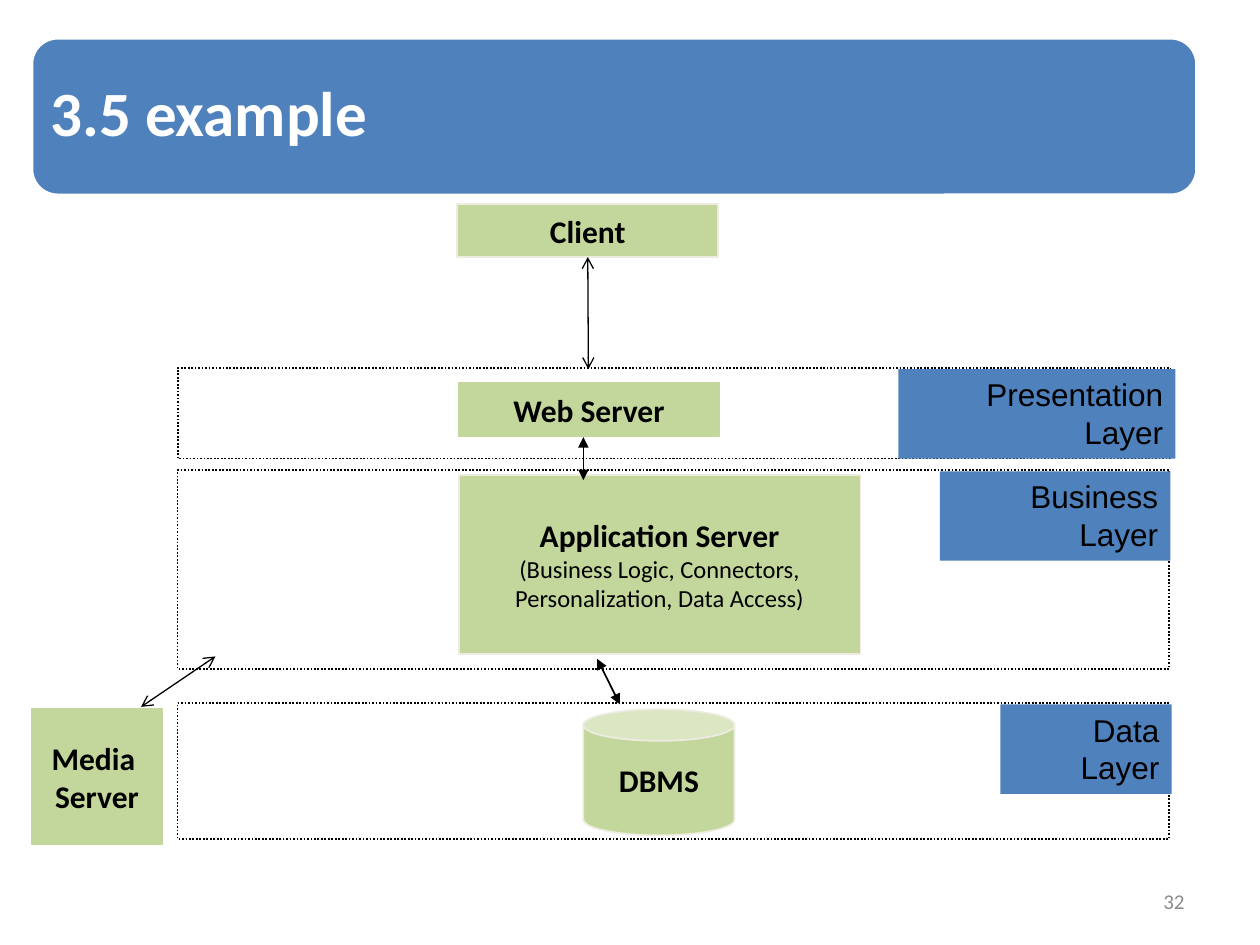
from pptx import Presentation
from pptx.dml.color import RGBColor
from pptx.enum.dml import MSO_LINE
from pptx.enum.shapes import MSO_CONNECTOR, MSO_SHAPE
from pptx.enum.text import MSO_ANCHOR, MSO_AUTO_SIZE, PP_ALIGN
from pptx.oxml.ns import qn
from pptx.util import Inches, Pt
from lxml import etree

RECT = MSO_SHAPE.RECTANGLE
ROUNDED = MSO_SHAPE.ROUNDED_RECTANGLE
CAN = MSO_SHAPE.CAN
STRAIGHT = MSO_CONNECTOR.STRAIGHT
DOTTED = MSO_LINE.ROUND_DOT
MIDDLE, TOP = MSO_ANCHOR.MIDDLE, MSO_ANCHOR.TOP
LEFT, CENTER, RIGHT = PP_ALIGN.LEFT, PP_ALIGN.CENTER, PP_ALIGN.RIGHT
GROW = MSO_AUTO_SIZE.SHAPE_TO_FIT_TEXT

WHITE = RGBColor(0xFF, 0xFF, 0xFF)
BLACK = RGBColor(0x00, 0x00, 0x00)
BLUE = RGBColor(0x4F, 0x81, 0xBD)
GREEN = RGBColor(0xC3, 0xD6, 0x9B)
CREAM = RGBColor(0xEE, 0xEC, 0xE1)
GRAY = RGBColor(0x8C, 0x8C, 0x8C)

BOTTOM_SIDE = 2
BANNER_BOX = (0.25, 0.3, 9.25, 1.25)


def style_text(paragraph, size, color, align, bold=False, font="Calibri"):
    paragraph.alignment = align
    for run in paragraph.runs:
        run.font.name = font
        run.font.size = Pt(size)
        run.font.bold = bold
        run.font.color.rgb = color


def add_box(slide, box, fill=None, line=None, width=1, kind=RECT):
    shape = slide.shapes.add_shape(kind, *map(Inches, box))
    shape.shadow.inherit = False
    if fill is None:
        shape.fill.background()
    else:
        shape.fill.solid()
        shape.fill.fore_color.rgb = fill
    if line is None:
        shape.line.fill.background()
    else:
        shape.line.color.rgb = line
        shape.line.width = Pt(width)
    return shape


def add_title(slide, text):
    banner = add_box(slide, BANNER_BOX, BLUE, WHITE, 2, ROUNDED)
    title = slide.shapes.title
    title.element.addprevious(banner.element)  # banner goes behind the title
    title.left, title.top, title.width, title.height = map(Inches, BANNER_BOX)
    frame = title.text_frame
    frame.text = text
    frame.vertical_anchor = MIDDLE
    frame.margin_left = frame.margin_right = Inches(0.15)
    frame.margin_top = frame.margin_bottom = Inches(0.15)
    frame.paragraphs[0].line_spacing = 0.9
    style_text(frame.paragraphs[0], 36, WHITE, LEFT, bold=True)


def add_node(slide, box, heading, details="", line=CREAM, kind=RECT):
    node = add_box(slide, box, GREEN, line, kind=kind)
    frame = node.text_frame
    frame.text = f"{heading}\n{details}" if details else heading
    frame.word_wrap = False
    frame.vertical_anchor = MIDDLE
    heading_count = len(heading.split("\n"))
    for index, paragraph in enumerate(frame.paragraphs):
        is_heading = index < heading_count
        style_text(paragraph, 18 if is_heading else 14, BLACK, CENTER, is_heading)
    return node


def add_layer(slide, band, label_box, label):
    outline = add_box(slide, band, line=BLACK)
    outline.line.dash_style = DOTTED
    tag = add_box(slide, label_box, BLUE)
    frame = tag.text_frame
    frame.text = label
    frame.word_wrap = True
    frame.auto_size = GROW
    frame.vertical_anchor = TOP
    style_text(frame.paragraphs[0], 18, BLACK, RIGHT, font="Arial")


def add_arrow(slide, start, end, width, head):
    arrow = slide.shapes.add_connector(STRAIGHT, *map(Inches, start + end))
    arrow.line.color.rgb = BLACK
    arrow.line.width = Pt(width)
    properties = arrow.element.spPr
    outline = properties.find(qn("a:ln"))
    for tag in ("a:headEnd", "a:tailEnd"):
        etree.SubElement(outline, qn(tag), type=head)
    etree.SubElement(properties, qn("a:effectLst"))
    return arrow


def add_page_number(slide, number):
    box = slide.shapes.add_textbox(*map(Inches, (7.17, 6.95, 2.33, 0.4)))
    frame = box.text_frame
    frame.text = number
    frame.word_wrap = True
    frame.vertical_anchor = MIDDLE
    style_text(frame.paragraphs[0], 12, GRAY, RIGHT)


def main():
    prs = Presentation()
    prs.slide_width, prs.slide_height = Inches(10), Inches(7.5)
    slide = prs.slides.add_slide(prs.slide_layouts[5])
    add_title(slide, "3.5 example")

    # Layer bands with their labels
    add_layer(slide, (1.41, 2.92, 7.88, 0.72), (7.13, 2.93, 2.2, 0.71),
              "Presentation Layer")
    add_layer(slide, (1.41, 3.73, 7.87, 1.58), (7.46, 3.74, 1.83, 0.71),
              "Business Layer")
    add_layer(slide, (1.41, 5.58, 7.87, 1.08), (7.94, 5.59, 1.36, 0.71),
              "Data Layer")

    # Servers and database
    client = add_node(slide, (3.63, 1.62, 2.07, 0.42), "Client")
    add_node(slide, (3.64, 3.04, 2.07, 0.42), "Web Server", line=GREEN)
    add_node(slide, (3.64, 3.77, 3.19, 1.42), "Application Server",
             "(Business Logic, Connectors,\nPersonalization, Data Access)")
    dbms = add_node(slide, (4.63, 5.63, 1.2, 1), "DBMS", kind=CAN)
    dbms.adjustments[0] = 0.25
    add_node(slide, (0.25, 5.63, 1.04, 1.07), "Media \nServer", line=GREEN)

    # Two-way links
    client_link = add_arrow(slide, (4.67, 2.04), (4.67, 2.93), 0.75, "arrow")
    client_link.begin_connect(client, BOTTOM_SIDE)
    add_arrow(slide, (4.63, 3.47), (4.63, 3.81), 1, "triangle")
    add_arrow(slide, (4.92, 5.59), (4.74, 5.23), 1, "triangle")
    add_arrow(slide, (1.71, 5.21), (1.12, 5.61), 0.75, "arrow")

    add_page_number(slide, "32")
    prs.save("out.pptx")


if __name__ == "__main__":
    main()
